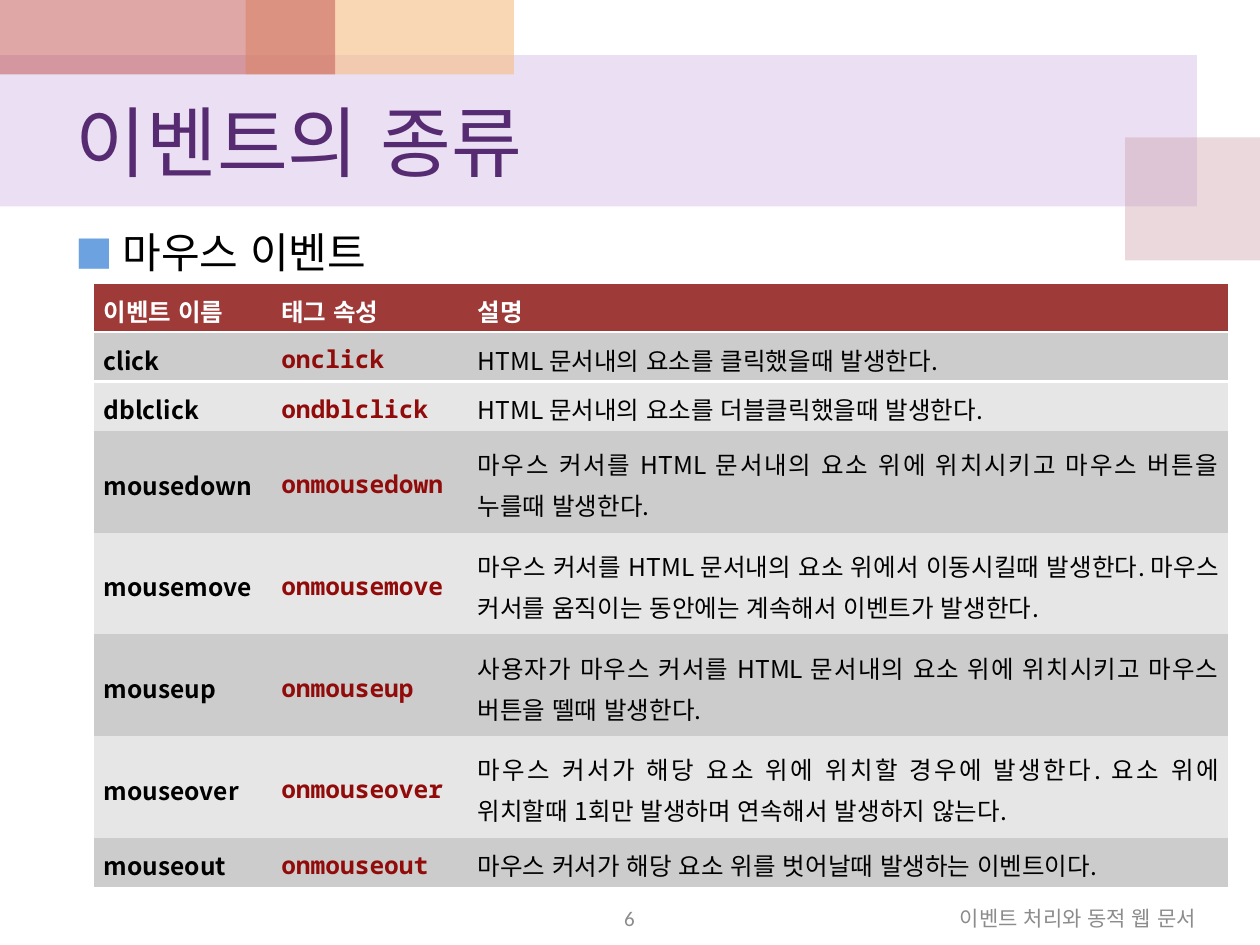
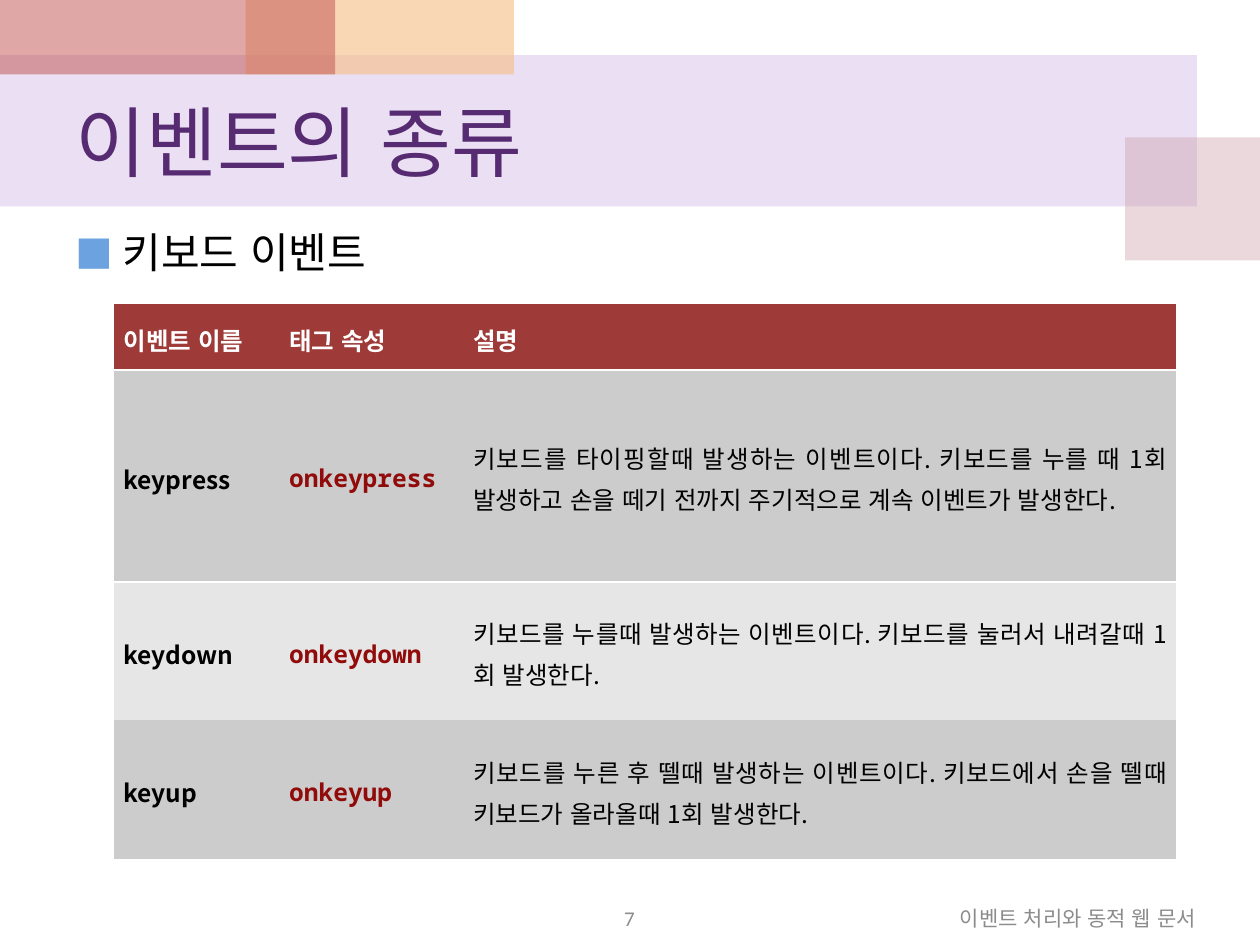
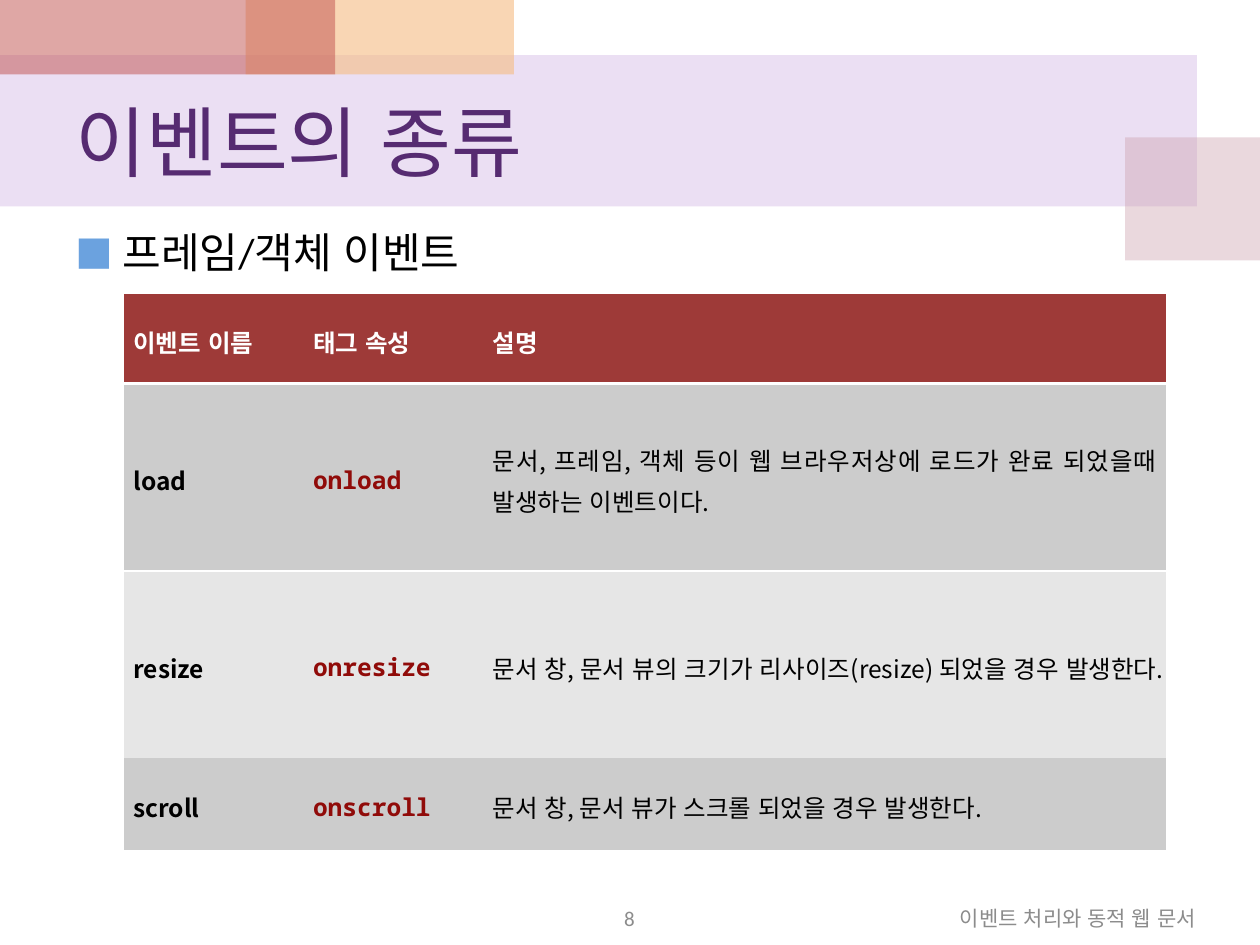
from lxml import etree
from pptx import Presentation
from pptx.dml.color import RGBColor
from pptx.enum.lang import MSO_LANGUAGE_ID
from pptx.enum.shapes import MSO_SHAPE
from pptx.enum.text import MSO_ANCHOR, PP_ALIGN
from pptx.oxml.ns import qn
from pptx.util import Cm, Pt

KOREAN_FONT = "Noto Sans CJK KR"
NO_STYLE_NO_GRID = "{2D5ABB26-0587-4C30-8999-92F81FD0307C}"

TITLE = {"name": "Calibri", "size": Pt(44), "color": "562B71"}
HEADING = {"name": "Calibri", "size": Pt(24), "color": "000000"}
FOOTER = {"name": "Calibri", "size": Pt(12), "color": "8C8C8C"}
HEADER_CELL = {"name": KOREAN_FONT, "size": Pt(14), "bold": True, "color": "FFFFFF"}
EVENT_CELL = {**HEADER_CELL, "color": "000000"}
ATTRIBUTE_CELL = {**HEADER_CELL, "name": "Noto Sans Mono", "color": "900B09"}
DESCRIPTION_CELL = {**EVENT_CELL, "bold": False}
COLUMN_FORMATS = (EVENT_CELL, ATTRIBUTE_CELL, DESCRIPTION_CELL)

HEADER_FILL = "9E3A38"
ROW_FILLS = ("CCCCCC", "E6E6E6")
BULLET_COLOR = "6BA2DF"
RULE_COLOR = "FFFFFF"

# left, top, width, height in cm; colour; opacity in percent
BANDS = (
    (0, 1.11, 24.13, 3.05, "BF98D8", 30),
    (22.68, 2.77, 2.72, 2.48, "CC9EAC", 40),
    (4.95, 0, 5.41, 1.5, "F5BC83", 60),
    (0, 0, 6.76, 1.5, "C0504D", 50),
)

TABLE_HEADER = ("이벤트 이름", "태그 속성", "설명")
PAGES = (
    {
        "heading": "마우스 이벤트",
        "left": 1.9, "top": 5.72,
        "widths": (3.58, 3.96, 15.32),
        "heights": (0.97, 1, 1, 2.05, 2.05, 2.05, 2.05, 1),
        "events": (
            ("click", "HTML 문서내의 요소를 클릭했을때 발생한다."),
            ("dblclick", "HTML 문서내의 요소를 더블클릭했을때 발생한다."),
            ("mousedown", "마우스 커서를 HTML 문서내의 요소 위에 위치시키고 "
                          "마우스 버튼을 누를때 발생한다."),
            ("mousemove", "마우스 커서를 HTML 문서내의 요소 위에서 이동시킬때 발생한다. "
                          "마우스 커서를 움직이는 동안에는 계속해서 이벤트가 발생한다."),
            ("mouseup", "사용자가 마우스 커서를 HTML 문서내의 요소 위에 위치시키고 "
                        "마우스 버튼을 뗄때 발생한다."),
            ("mouseover", "마우스 커서가 해당 요소 위에 위치할 경우에 발생한다. "
                          "요소 위에 위치할때 1회만 발생하며 연속해서 발생하지 않는다."),
            ("mouseout", "마우스 커서가 해당 요소 위를 벗어날때 발생하는 이벤트이다."),
        ),
    },
    {
        "heading": "키보드 이벤트",
        "left": 2.3, "top": 6.13,
        "widths": (3.34, 3.71, 14.36),
        "heights": (1.33, 4.27, 2.79, 2.79),
        "events": (
            ("keypress", "키보드를 타이핑할때 발생하는 이벤트이다. 키보드를 누를 때 1회 "
                         "발생하고 손을 떼기 전까지 주기적으로 계속 이벤트가 발생한다."),
            ("keydown", "키보드를 누를때 발생하는 이벤트이다. "
                        "키보드를 눌러서 내려갈때 1회 발생한다."),
            ("keyup", "키보드를 누른 후 뗄때 발생하는 이벤트이다. "
                      "키보드에서 손을 뗄때 키보드가 올라올때 1회 발생한다."),
        ),
    },
    {
        "heading": "프레임/객체 이벤트",
        "left": 2.5, "top": 5.93,
        "widths": (3.62, 3.62, 13.77),
        "heights": (1.8, 3.78, 3.78, 1.84),
        "events": (
            ("load", "문서, 프레임, 객체 등이 웹 브라우저상에 로드가 완료 되었을때 "
                     "발생하는 이벤트이다."),
            ("resize", "문서 창, 문서 뷰의 크기가 리사이즈(resize) 되었을 경우 발생한다."),
            ("scroll", "문서 창, 문서 뷰가 스크롤 되었을 경우 발생한다."),
        ),
    },
)


def rgb(code):
    return RGBColor.from_string(code)


def add_xml(parent, tag, **attributes):
    return etree.SubElement(parent, qn(tag), attributes)


class EventDeck:
    """Holds the presentation, its style and the page being filled."""

    def __init__(self):
        self.deck = Presentation()
        self.deck.slide_width, self.deck.slide_height = Cm(25.4), Cm(19.05)
        self.page = None

    def new_page(self, number):
        self.page = self.deck.slides.add_slide(self.deck.slide_layouts[6])
        for band in BANDS:
            self.band(*band)
        self.text("이벤트의 종류", (1.27, 1.5, 22.86, 2.67), TITLE)
        self.text(str(number), (9.73, 18.16, 5.92, 0.69), FOOTER, PP_ALIGN.CENTER)
        self.text("이벤트 처리와 동적 웹 문서", (16.31, 18.16, 8.05, 0.69),
                  FOOTER, PP_ALIGN.RIGHT)

    def band(self, left, top, width, height, color, opacity):
        shape = self.page.shapes.add_shape(
            MSO_SHAPE.RECTANGLE, Cm(left), Cm(top), Cm(width), Cm(height))
        shape.shadow.inherit = False
        shape.line.fill.background()
        shape.fill.solid()
        shape.fill.fore_color.rgb = rgb(color)
        for fill_color in shape.element.iter(qn("a:srgbClr")):
            add_xml(fill_color, "a:alpha", val=str(opacity * 1000))

    def span(self, para, words, style):
        span = para.add_run()
        span.text = words
        for key, value in style.items():
            if key == "color":
                span.font.color.rgb = rgb(value)
            else:
                setattr(span.font, key, value)
        span.font.language_id = MSO_LANGUAGE_ID.KOREAN
        add_xml(span._r.get_or_add_rPr(), "a:ea", typeface=KOREAN_FONT)

    def text(self, words, place, style, align=PP_ALIGN.LEFT, anchor=MSO_ANCHOR.MIDDLE):
        box = self.page.shapes.add_textbox(*map(Cm, place))
        frame = box.text_frame
        frame.word_wrap = True
        frame.vertical_anchor = anchor
        para = frame.paragraphs[0]
        para.alignment = align
        self.span(para, words, style)
        return para

    def heading(self, words):
        para = self.text(words, (1.27, 4.45, 22.86, 12.57), HEADING, anchor=MSO_ANCHOR.TOP)
        para.space_before = Pt(4.8)
        properties = para._p.get_or_add_pPr()
        properties.set("marL", str(Cm(0.95)))
        properties.set("indent", str(Cm(-0.95)))
        bullet_color = add_xml(properties, "a:buClr")
        add_xml(bullet_color, "a:srgbClr", val=BULLET_COLOR)
        add_xml(properties, "a:buSzPct", val="90000")
        add_xml(properties, "a:buFont", typeface=KOREAN_FONT)
        add_xml(properties, "a:buChar", char="■")

    def table(self, left, top, widths, heights, events):
        rows = [(name, "on" + name, description) for name, description in events]
        frame = self.page.shapes.add_table(
            len(heights), len(widths), Cm(left), Cm(top),
            Cm(sum(widths)), Cm(sum(heights)))
        for style_id in frame.element.iter(qn("a:tableStyleId")):
            style_id.text = NO_STYLE_NO_GRID
        table = frame.table
        table.horz_banding = False
        for column, width in zip(table.columns, widths):
            column.width = Cm(width)
        for row, height in zip(table.rows, heights):
            row.height = Cm(height)
        for column, words in enumerate(TABLE_HEADER):
            self.cell(table.cell(0, column), words, HEADER_CELL, HEADER_FILL)
            self.rule(table.cell(0, column), "a:lnB")
        for index, row in enumerate(rows):
            for column, (words, style) in enumerate(zip(row, COLUMN_FORMATS)):
                self.cell(table.cell(index + 1, column), words, style, ROW_FILLS[index % 2])
        for column in range(len(widths)):
            self.rule(table.cell(1, column), "a:lnT")

    def cell(self, cell, words, style, fill):
        layout = {"margin_left": Cm(0.19), "margin_right": Cm(0.19), "margin_top": 0,
                  "margin_bottom": 0, "vertical_anchor": MSO_ANCHOR.MIDDLE}
        for key, value in layout.items():
            setattr(cell, key, value)
        cell.fill.solid()
        cell.fill.fore_color.rgb = rgb(fill)
        para = cell.text_frame.paragraphs[0]
        para.alignment = PP_ALIGN.JUSTIFY
        para.line_spacing = 1.15
        self.span(para, words, style)

    def rule(self, cell, side):
        """Draw the white line between header and body on one side of a cell."""
        properties = cell._tc.get_or_add_tcPr()
        line = add_xml(properties, side, w=str(Pt(1.5)))
        add_xml(add_xml(line, "a:solidFill"), "a:srgbClr", val=RULE_COLOR)
        properties.insert(0, line)


def main():
    events = EventDeck()
    for number, content in enumerate(PAGES, start=6):
        events.new_page(number)
        events.heading(content["heading"])
        events.table(*(content[key] for key in ("left", "top", "widths", "heights", "events")))
    events.deck.save("out.pptx")


if __name__ == "__main__":
    main()
